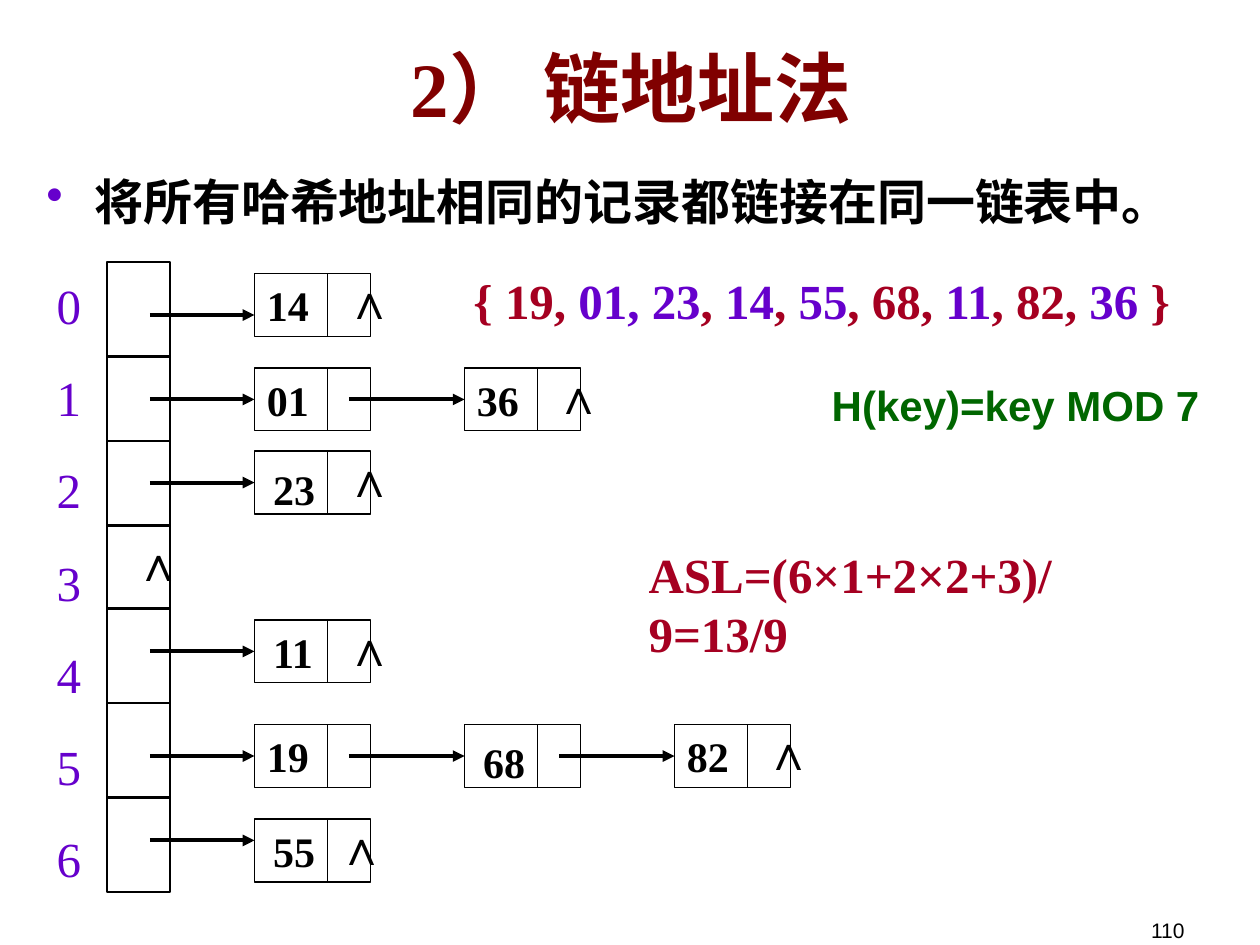
from dataclasses import dataclass

from lxml.etree import SubElement
from pptx import Presentation
from pptx.dml.color import RGBColor
from pptx.enum.shapes import MSO_CONNECTOR, MSO_SHAPE
from pptx.enum.text import MSO_ANCHOR, MSO_AUTO_SIZE, PP_ALIGN
from pptx.oxml.ns import qn
from pptx.util import Inches, Pt


@dataclass(frozen=True)
class Theme:
    """Colours, fonts and type sizes of the slide."""
    serif: str = "Times New Roman"
    sans: str = "Arial"
    black: str = "000000"
    maroon: str = "800000"
    red: str = "A50021"
    purple: str = "6600CC"
    green: str = "006600"
    title: int = 44
    body: int = 28
    key: int = 24
    small: int = 12
    thin: float = 0.75
    medium: float = 1.5
    thick: float = 2.25


T = Theme()
NODE_LEFT, NODE_PITCH, NODE_W, NODE_H = 2.02, 5 / 3, 0.92, 0.5
TABLE_LEFT, TABLE_TOP, TABLE_W, TABLE_H = 0.85, 2.08, 0.5, 5
TABLE_RULES = (2.83, 3.5, 4.17, 4.83, 5.58, 6.33)
NIL = "∧"

# Each chain: top of its nodes, height of its arrows, x of the nil mark in the
# last node, and the keys with the text offset of those set in their own box.
CHAINS = (
    (2.17, 2.5, 0.62, (("14", None),)),
    (2.92, 3.17, 0.62, (("01", None), ("36", None))),
    (3.58, 3.83, 0.62, (("23", 0.05),)),
    (4.92, 5.17, 0.62, (("11", 0),)),
    (5.75, 6, 0.62, (("19", None), ("68", 0.05), ("82", None))),
    (6.5, 6.67, 0.56, (("55", 0),)),
)
KEY_SET = (
    ("{ 19, ", T.red), ("01, 23", T.purple), (", ", T.red), ("14", T.purple),
    (", ", T.red), ("55", T.purple), (", 68, ", T.red), ("11", T.purple),
    (", 82, ", T.red), ("36", T.purple), (" }", T.red),
)


def write(tf, text, size=T.body, font=T.serif, color=T.black, bold=True,
          align=PP_ALIGN.LEFT, anchor=MSO_ANCHOR.TOP, wrap=True, gap=0, bullet=None):
    """Fill a text frame; text is a string or a list of (text, colour) runs."""
    tf.word_wrap = wrap
    tf.vertical_anchor = anchor
    lines = text.split("\n") if isinstance(text, str) else [text]
    for i, line in enumerate(lines):
        p = tf.add_paragraph() if i else tf.paragraphs[0]
        p.alignment = align
        if i:
            p.space_before = Pt(gap)
        if bullet:
            pPr = p._p.get_or_add_pPr()
            pPr.set("marL", str(Inches(0.38)))
            pPr.set("indent", str(-Inches(0.38)))
            clr = SubElement(pPr, qn("a:buClr"))
            SubElement(clr, qn("a:srgbClr"), val=bullet)
            SubElement(pPr, qn("a:buChar"), char="•")
        for part, tint in [(line, color)] if isinstance(line, str) else line:
            r = p.add_run()
            r.text = part
            r.font.size, r.font.name, r.font.bold = Pt(size), font, bold
            r.font.color.rgb = RGBColor.from_string(tint)


class Deck:
    """Holds the theme and the current slide, and draws on it."""

    def __init__(self, theme):
        """Start a 10 by 7.5 inch presentation."""
        self.theme = theme
        self.prs = Presentation()
        self.prs.slide_width, self.prs.slide_height = Inches(10), Inches(7.5)
        self.s = self.prs.slides.add_slide(self.prs.slide_layouts[5])

    def title(self, text, x, y, w, h):
        """Place and fill the title placeholder."""
        sp = self.s.shapes.title
        sp.left, sp.top, sp.width, sp.height = map(Inches, (x, y, w, h))
        write(sp.text_frame, text, size=self.theme.title, color=self.theme.maroon,
              align=PP_ALIGN.CENTER, anchor=MSO_ANCHOR.MIDDLE)

    def text(self, text, x, y, w, h, grow=True, **fmt):
        """Add a text box."""
        sp = self.s.shapes.add_textbox(*map(Inches, (x, y, w, h)))
        write(sp.text_frame, text, **fmt)
        sp.text_frame.auto_size = MSO_AUTO_SIZE.SHAPE_TO_FIT_TEXT if grow else MSO_AUTO_SIZE.NONE

    def box(self, x, y, w, h, weight):
        """Add an unfilled rectangle."""
        sp = self.s.shapes.add_shape(MSO_SHAPE.RECTANGLE, *map(Inches, (x, y, w, h)))
        sp.shadow.inherit = False
        sp.fill.background()
        sp.line.color.rgb = RGBColor.from_string(self.theme.black)
        sp.line.width = Pt(weight)
        return sp

    def line(self, x1, y1, x2, y2, weight, arrow=False):
        """Add a straight line, with an arrowhead at its end if asked."""
        cx = self.s.shapes.add_connector(MSO_CONNECTOR.STRAIGHT, *map(Inches, (x1, y1, x2, y2)))
        cx.line.color.rgb = RGBColor.from_string(self.theme.black)
        cx.line.width = Pt(weight)
        if arrow:
            SubElement(cx.line._get_or_add_ln(), qn("a:tailEnd"), type="triangle")
        SubElement(cx._element.spPr, qn("a:effectLst"))
        return cx

    def nil(self, x, y):
        """Add the mark of an empty pointer."""
        self.text(NIL, x, y, 0.33, 0.57, font=self.theme.sans, wrap=False)

    def node(self, x, y, key, offset):
        """Add a list node with a key cell and a pointer cell."""
        sp = self.box(x, y, NODE_W, NODE_H, self.theme.thin)
        self.line(x + 0.58, y, x + 0.58, y + NODE_H, self.theme.thin)
        if offset is None:
            write(sp.text_frame, key, size=self.theme.key, anchor=MSO_ANCHOR.MIDDLE, wrap=False)
        else:
            self.text(key, x + 0.05, y + offset, 0.53, 0.5, size=self.theme.key, wrap=False)
        return sp

    def chain(self, top, arrow_y, nil_dx, keys):
        """Add one linked list, from its table cell to its nil mark."""
        start = 1.19
        for i, (key, offset) in enumerate(keys):
            x = NODE_LEFT + i * NODE_PITCH
            sp = self.node(x, top, key, offset)
            cx = self.line(start, arrow_y, x, arrow_y, self.theme.thick, arrow=True)
            if abs(top + NODE_H / 2 - arrow_y) < 0.02:
                cx.end_connect(sp, 1)
            start = x + 0.75
        self.nil(x + nil_dx, top - 0.07)

    def hash_table(self):
        """Add the column of cells and its indexes."""
        self.box(TABLE_LEFT, TABLE_TOP, TABLE_W, TABLE_H, self.theme.medium)
        for y in TABLE_RULES:
            self.line(TABLE_LEFT, y, TABLE_LEFT + TABLE_W, y, self.theme.medium)
        self.text("\n".join(map(str, range(7))), 0.35, 2.14, 0.58, 4.83,
                  color=self.theme.purple, bold=False, gap=19)
        self.nil(0.97, 4.18)


def main():
    """Build the slide and save it."""
    deck = Deck(T)
    deck.title("2） 链地址法", 0.51, 0.13, 9, 1.12)
    deck.text("将所有哈希地址相同的记录都链接在同一链表中。", 0.27, 1.31, 9.45, 5.67,
              grow=False, bullet=T.purple)
    deck.hash_table()
    for chain in CHAINS:
        deck.chain(*chain)
    deck.text(KEY_SET, 3.66, 2.1, 6.06, 0.57)
    deck.text("ASL=(6×1+2×2+3)/9=13/9", 5.05, 4.27, 4.5, 0.57, color=T.red, wrap=False)
    deck.text("H(key)=key MOD 7", 6.5, 2.96, 3.12, 0.5, size=T.key, font=T.sans,
              color=T.green, align=PP_ALIGN.CENTER, wrap=False)
    deck.text("110", 7.17, 7.03, 2.33, 0.5, grow=False, size=T.small, font=T.sans,
              bold=False, align=PP_ALIGN.RIGHT, anchor=MSO_ANCHOR.BOTTOM)
    deck.prs.save("out.pptx")


if __name__ == "__main__":
    main()
